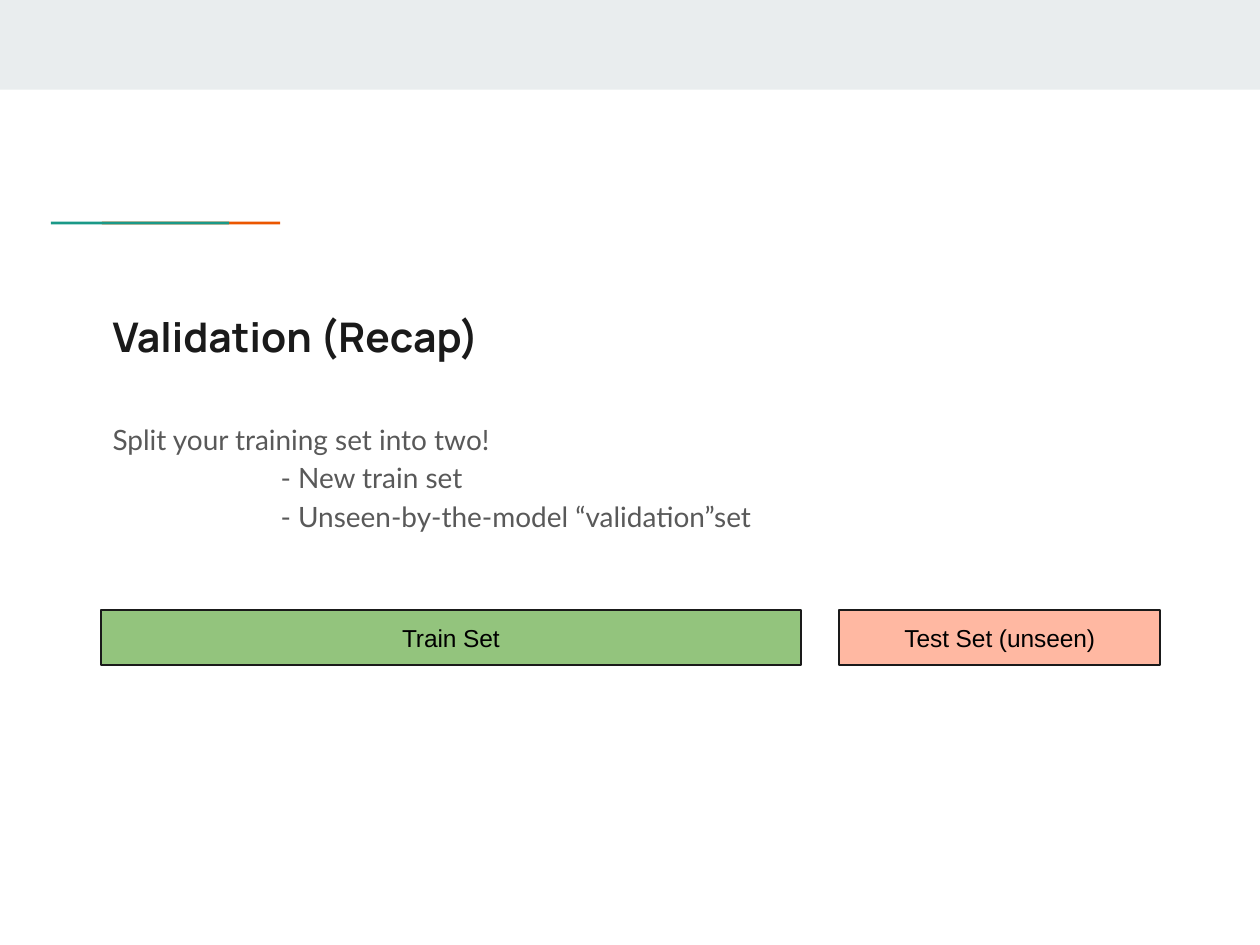
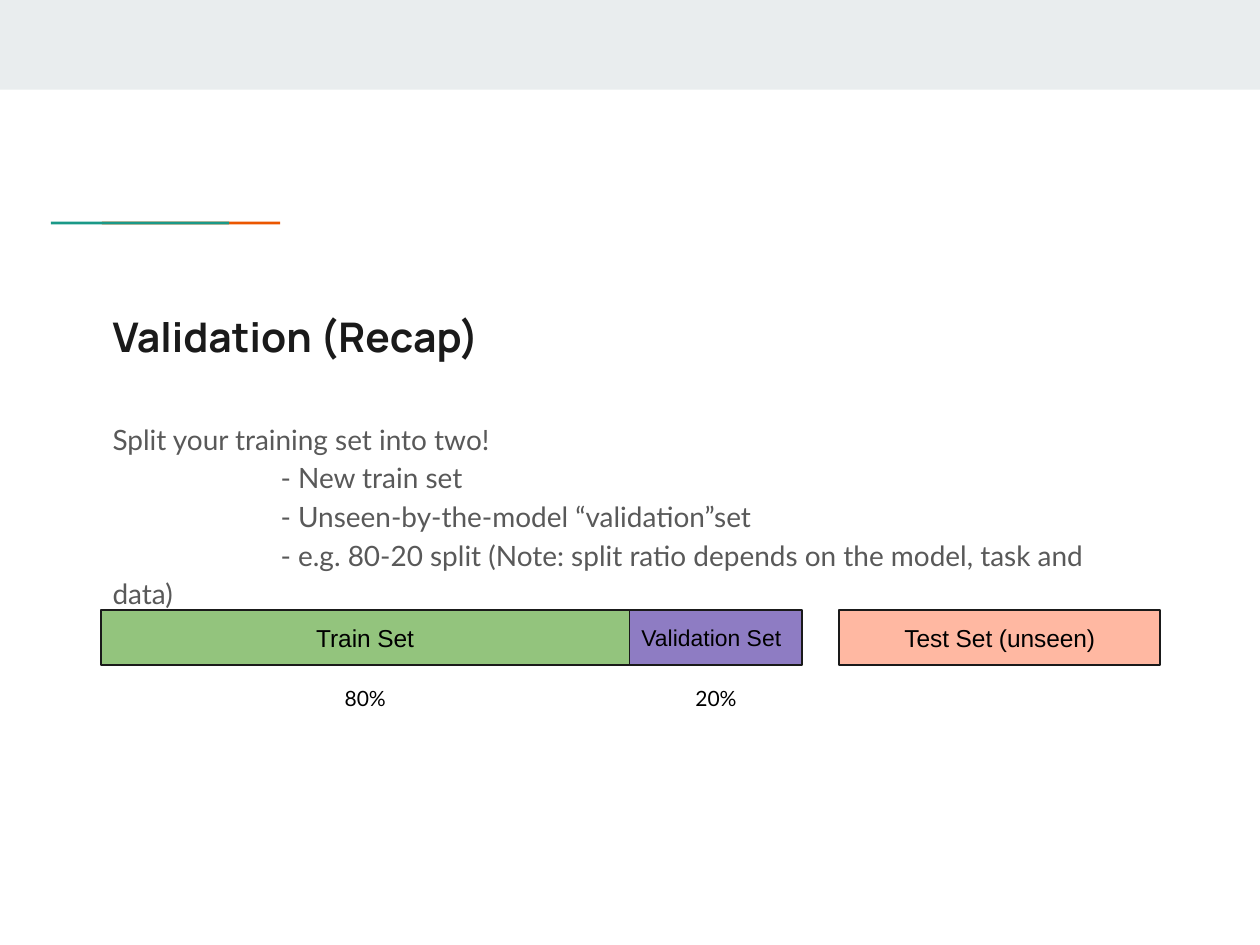
from pptx import Presentation
from pptx.dml.color import RGBColor as RGB
from pptx.enum.shapes import MSO_SHAPE as SHAPE
from pptx.enum.text import MSO_ANCHOR as ANCHOR, MSO_AUTO_SIZE as AUTO, PP_ALIGN as ALIGN
from pptx.oxml import parse_xml
from pptx.oxml.ns import nsdecls
from pptx.util import Inches, Pt

MIST, WHITE = RGB(0xE9, 0xED, 0xEE), RGB(0xFF, 0xFF, 0xFF)
TEAL, ORANGE = RGB(0x1A, 0x99, 0x88), RGB(0xEB, 0x56, 0x00)
INK, GREY, BLACK = RGB(0x1A, 0x1A, 0x1A), RGB(0x59, 0x59, 0x59), RGB(0, 0, 0)
GREEN, PEACH, PURPLE = RGB(0x93, 0xC4, 0x7D), RGB(0xFF, 0xB8, 0xA2), RGB(0x8E, 0x7C, 0xC3)

# A 4:3 slide
WIDE = Inches(7.5)
HIGH = WIDE * 3 // 4
PAD = Inches(0.07)

# Text formats
HEAD = dict(name="Manrope", size=Pt(17.5), bold=True)
BODY = dict(name="Lato", size=Pt(12))
BAR = dict(name="Arial", size=Pt(10.5))
SMALL = dict(name="Arial", size=Pt(9.8))
NOTE = dict(name="Lato", size=Pt(9))

# Boxes as left, top, width, height in percent of the slide
TITLE = (8, 31.75, 84.1, 7.8)
LIST = (8, 42.9, 84.1, 32.9)
BARS = (8, 64.55, 84.1, 5.85)

# Bars: name, fill, left and width in percent of the row, format, align, note
TEST = ("Test Set (unseen)", PEACH, 69.7, 30.3, BAR, ALIGN.CENTER, None)
WHOLE = [("Train Set", GREEN, 0, 66.1, BAR, ALIGN.CENTER, None), TEST]
SPLIT = [
    ("Train Set", GREEN, 0, 49.9, BAR, ALIGN.CENTER, "80%"),
    TEST,
    ("Validation Set", PURPLE, 49.9, 16.3, SMALL, ALIGN.LEFT, "20%"),
]
LEAD = "Split your training set into two!"
STEPS = ["- New train set", "- Unseen-by-the-model “validation”set"]
RATIO = "- e.g. 80-20 split (Note: split ratio depends on the model, task and data)"


def area(box):
    x, y, w, h = box
    return [round(v / 100) for v in (x * WIDE, y * HIGH, w * WIDE, h * HIGH)]


def write(shape, text, style, color, align=ALIGN.LEFT, anchor=ANCHOR.TOP):
    frame = shape.text_frame
    look = dict(word_wrap=True, auto_size=AUTO.NONE, vertical_anchor=anchor,
                margin_left=PAD, margin_right=PAD, margin_top=PAD, margin_bottom=PAD)
    for key, val in look.items():
        setattr(frame, key, val)
    frame.text = text
    para = frame.paragraphs[0]
    para.alignment = align
    for run in para.runs:
        for key, val in style.items():
            setattr(run.font, key, val)
        run.font.color.rgb = color
    return para


def block(slide, box, fill, line=None):
    shape = slide.shapes.add_shape(SHAPE.RECTANGLE, *area(box))
    shape.shadow.inherit = False
    shape.fill.solid()
    shape.fill.fore_color.rgb = fill
    if line is None:
        shape.line.fill.background()
    else:
        shape.line.color.rgb = line
        shape.line.width = Pt(0.75)
    return shape


# Top band and two-colour accent
def frame(slide):
    slide.background.fill.solid()
    slide.background.fill.fore_color.rgb = WHITE
    block(slide, (0, 0, 100, 9.5), MIST)
    for left, fill in ((8.1, ORANGE), (4.05, TEAL)):
        block(slide, (left, 23.45, 14.15, 0.3), fill)


def head(slide, box, text):
    title = slide.shapes.title
    title.left, title.top, title.width, title.height = area(box)
    write(title, text, HEAD, INK)


# Lead line with tabbed steps below it
def points(slide, box, lead, steps):
    text = "\v".join([lead] + ["\t" + step for step in steps])
    para = write(slide.shapes.add_textbox(*area(box)), text, BODY, GREY)
    para.line_spacing = 1.15
    para.space_after = Pt(9)
    para._p.get_or_add_pPr().append(parse_xml(
        f'<a:tabLst {nsdecls("a")}><a:tab pos="{Inches(1)}" algn="l"/></a:tabLst>'))


# Row of data sets with notes centred under the bars
def bars(slide, box, sets):
    x, y, w, h = box
    for name, fill, start, share, style, align, note in sets:
        left, width = x + start * w / 100, share * w / 100
        bar = block(slide, (left, y, width, h), fill, INK)
        write(bar, name, style, BLACK, align, ANCHOR.MIDDLE)
        if note:
            wide = 11.5
            side = left + (width - wide) / 2
            tag = slide.shapes.add_textbox(*area((side, y + 1.16 * h, wide, 0.9 * h)))
            write(tag, note, NOTE, BLACK, ALIGN.CENTER)


def main():
    deck = Presentation()
    deck.slide_width, deck.slide_height = WIDE, HIGH
    for steps, sets in ((STEPS, WHOLE), (STEPS + [RATIO], SPLIT)):
        slide = deck.slides.add_slide(deck.slide_layouts[5])
        frame(slide)
        head(slide, TITLE, "Validation (Recap)")
        points(slide, LIST, LEAD, steps)
        bars(slide, BARS, sets)
    deck.save("out.pptx")


if __name__ == "__main__":
    main()
